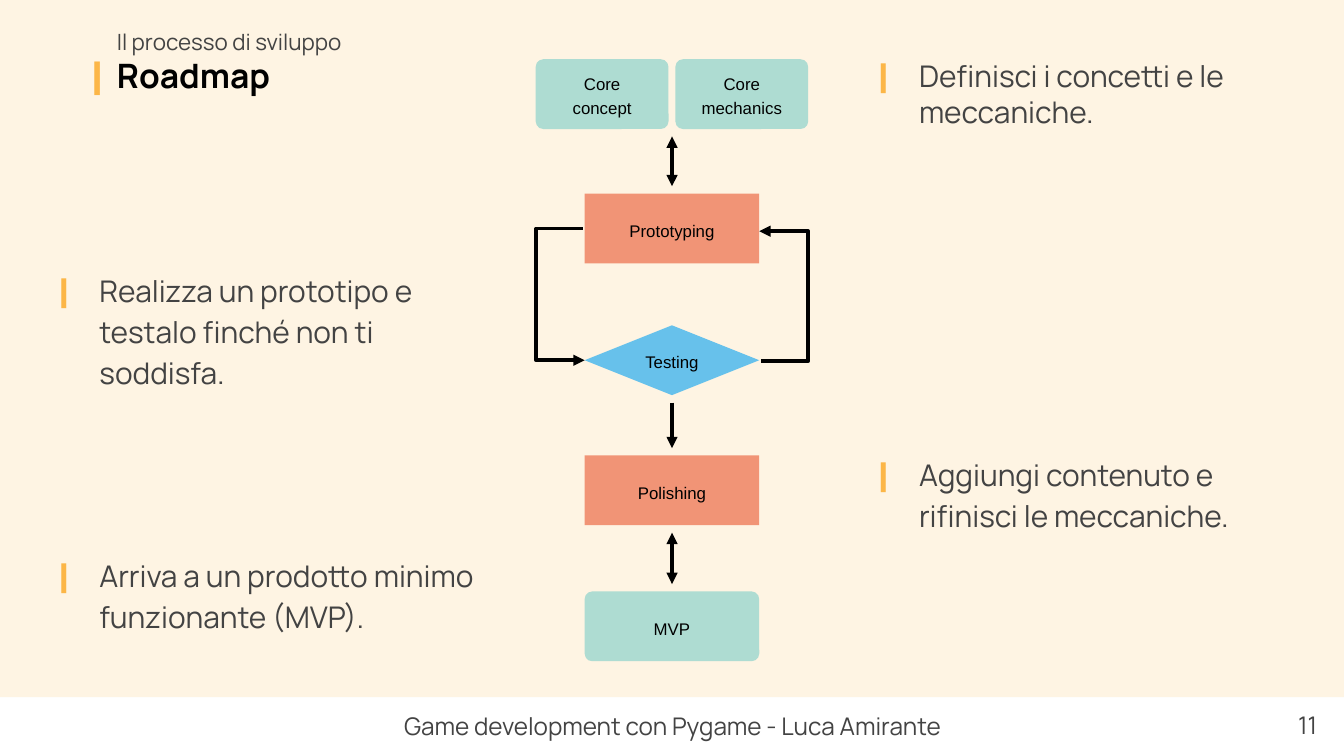
from lxml import etree
from pptx import Presentation
from pptx import util as u
from pptx.dml.color import RGBColor
from pptx.enum import shapes, text
from pptx.oxml.ns import qn

Cm, Pt = u.Cm, u.Pt
FONT, GREY, BLACK, AMBER = "Manrope", "434343", "000000", "FCB647"
MINT, CORAL, BLUE = "AEDCD2", "F19476", "67C1EB"
KIND = shapes.MSO_SHAPE
ALIGN, ANCHOR = text.PP_ALIGN, text.MSO_ANCHOR

# Content: flow nodes as (label, preset, fill, horizontal slot, top)
CENTRE, NODE_W, PAIR_W, NODE_H = 12.7, 3.3, 2.51, 1.32
PAIR_GAP, ARROW_PAD = 0.13, 0.14
NODES = [
    ("Core\vconcept", KIND.ROUNDED_RECTANGLE, MINT, "left", 1.12),
    ("Core\vmechanics", KIND.ROUNDED_RECTANGLE, MINT, "right", 1.12),
    ("Prototyping", KIND.RECTANGLE, CORAL, "middle", 3.66),
    ("Testing", KIND.DIAMOND, BLUE, "middle", 6.15),
    ("Polishing", KIND.RECTANGLE, CORAL, "middle", 8.61),
    ("MVP", KIND.ROUNDED_RECTANGLE, MINT, "middle", 11.18),
]
# Arrows: (top of upper node, top of lower node, arrow ends)
ARROWS = [
    (1.12, 3.66, ("headEnd", "tailEnd")),
    (6.15, 8.61, ("tailEnd",)),
    (8.61, 11.18, ("headEnd", "tailEnd")),
]
# Loops between prototyping and testing; the arrow sits at the first point
LOOPS = [
    [(14.35, 4.37), (15.27, 4.37), (15.27, 6.83), (14.38, 6.83)],
    [(11.05, 6.81), (10.13, 6.81), (10.13, 4.32), (11.02, 4.32)],
]
# Notes: (text, left, top, height, line spacing)
NOTES = [
    ("Definisci i concetti e le meccaniche.", 15.85, 0.84, 2.77, None),
    ("Aggiungi contenuto e rifinisci le meccaniche.", 15.85, 8.28, 1.93, 1.15),
    ("Realizza un prototipo e testalo finché non ti soddisfa.",
     0.36, 4.8, 1.93, 1.15),
    ("Arriva a un prodotto minimo funzionante (MVP).",
     0.36, 10.19, 2.57, 1.15),
]
TITLE = [("Il processo di sviluppo", 12, GREY, False),
         ("Roadmap", 18, BLACK, True)]
FOOTER = [
    ("Game development con Pygame - Luca Amirante",
     5.11, 15.19, ALIGN.CENTER, ANCHOR.MIDDLE),
    ("11", 23.62, 1.52, ALIGN.RIGHT, ANCHOR.TOP),
]

deck = Presentation()
deck.slide_width, deck.slide_height = Cm(25.4), Cm(14.29)
page = deck.slides.add_slide(deck.slide_layouts[6])


def colour(hex_code):
    return RGBColor.from_string(hex_code)


def set_frame(frame, inset, anchor):
    frame.word_wrap = True
    frame.vertical_anchor = anchor
    frame.margin_left = frame.margin_right = Cm(inset)
    frame.margin_top = frame.margin_bottom = Cm(inset)


def style(para, name, size, hex_code, bold=False):
    for span in para.runs:
        span.font.name, span.font.size, span.font.bold = name, Pt(size), bold
        span.font.color.rgb = colour(hex_code)


def indent(para, left, hanging=0, bullet=False):
    props = para._p.get_or_add_pPr()
    props.set("marL", str(Cm(left)))
    props.set("indent", str(-Cm(hanging)))
    if bullet:
        tint = etree.SubElement(props, qn("a:buClr"))
        etree.SubElement(tint, qn("a:srgbClr"), val=AMBER)
        etree.SubElement(props, qn("a:buFont"), typeface=FONT)
        etree.SubElement(props, qn("a:buChar"), char="❙")


def add_box(left, top, width, height, inset=0.25, anchor=ANCHOR.TOP):
    box = page.shapes.add_textbox(Cm(left), Cm(top), Cm(width), Cm(height))
    set_frame(box.text_frame, inset, anchor)
    return box.text_frame


def add_filled(preset, left, top, width, height, fill):
    shape = page.shapes.add_shape(
        preset, Cm(left), Cm(top), Cm(width), Cm(height))
    shape.shadow.inherit = False
    shape.fill.solid()
    shape.fill.fore_color.rgb = colour(fill)
    shape.line.fill.background()
    return shape


def draw_line(shape, ends):
    shape.line.color.rgb = colour(BLACK)
    shape.line.width = Pt(2)
    for end in ends:
        etree.SubElement(shape.line._get_or_add_ln(), qn("a:" + end),
                         type="triangle")


# Pale amber background above the footer
panel = add_filled(KIND.RECTANGLE, 0, 0, 25.4, 13.18, AMBER)
tint = panel.fill._xPr.find(qn("a:solidFill"))[0]
etree.SubElement(tint, qn("a:alpha"), val="15000")

# Footer
for words, left, width, align, anchor in FOOTER:
    frame = add_box(left, 13.18, width, 1.09, anchor=anchor)
    frame.text = words
    frame.paragraphs[0].alignment = align
    style(frame.paragraphs[0], FONT, 13, GREY)

# Flow nodes
SLOTS = {
    "left": (CENTRE - PAIR_GAP / 2 - PAIR_W, PAIR_W),
    "right": (CENTRE + PAIR_GAP / 2, PAIR_W),
    "middle": (CENTRE - NODE_W / 2, NODE_W),
}
for label, preset, fill, slot, top in NODES:
    left, width = SLOTS[slot]
    node = add_filled(preset, left, top, width, NODE_H, fill)
    if preset == KIND.ROUNDED_RECTANGLE:
        node.adjustments[0] = 0.11
    set_frame(node.text_frame, 0.08, ANCHOR.MIDDLE)
    node.text_frame.text = label
    para = node.text_frame.paragraphs[0]
    para.alignment, para.line_spacing = ALIGN.CENTER, 1.2
    style(para, "Arial", 9, BLACK)

# Vertical arrows
for upper, lower, ends in ARROWS:
    arrow = page.shapes.add_connector(
        shapes.MSO_CONNECTOR.STRAIGHT,
        Cm(CENTRE), Cm(upper + NODE_H + ARROW_PAD),
        Cm(CENTRE), Cm(lower - ARROW_PAD))
    draw_line(arrow, ends)
    etree.SubElement(arrow._element.spPr, qn("a:effectLst"))

# Loop arrows
for points in LOOPS:
    start, *rest = [(Cm(x), Cm(y)) for x, y in points]
    builder = page.shapes.build_freeform(*start)
    builder.add_line_segments(rest, close=False)
    loop = builder.convert_to_shape()
    loop.shadow.inherit = False
    loop.fill.background()
    draw_line(loop, ("headEnd",))

# Notes beside the flow
for words, left, top, height, spacing in NOTES:
    frame = add_box(left, top, 9.19, height)
    frame.text = words
    para = frame.paragraphs[0]
    indent(para, 1.27, 0.91, bullet=True)
    para.line_spacing, para.space_after = spacing, Pt(10)
    style(para, FONT, 16, GREY)

# Title
frame = add_box(1.57, 0.35, 5.59, 1.45, inset=0, anchor=ANCHOR.BOTTOM)
frame.text = "\n".join(line[0] for line in TITLE)
for para, (_, size, hex_code, bold) in zip(frame.paragraphs, TITLE):
    indent(para, 0.64, 0.97 if bold else 0, bullet=bold)
    style(para, FONT, size, hex_code, bold)

deck.save("out.pptx")
